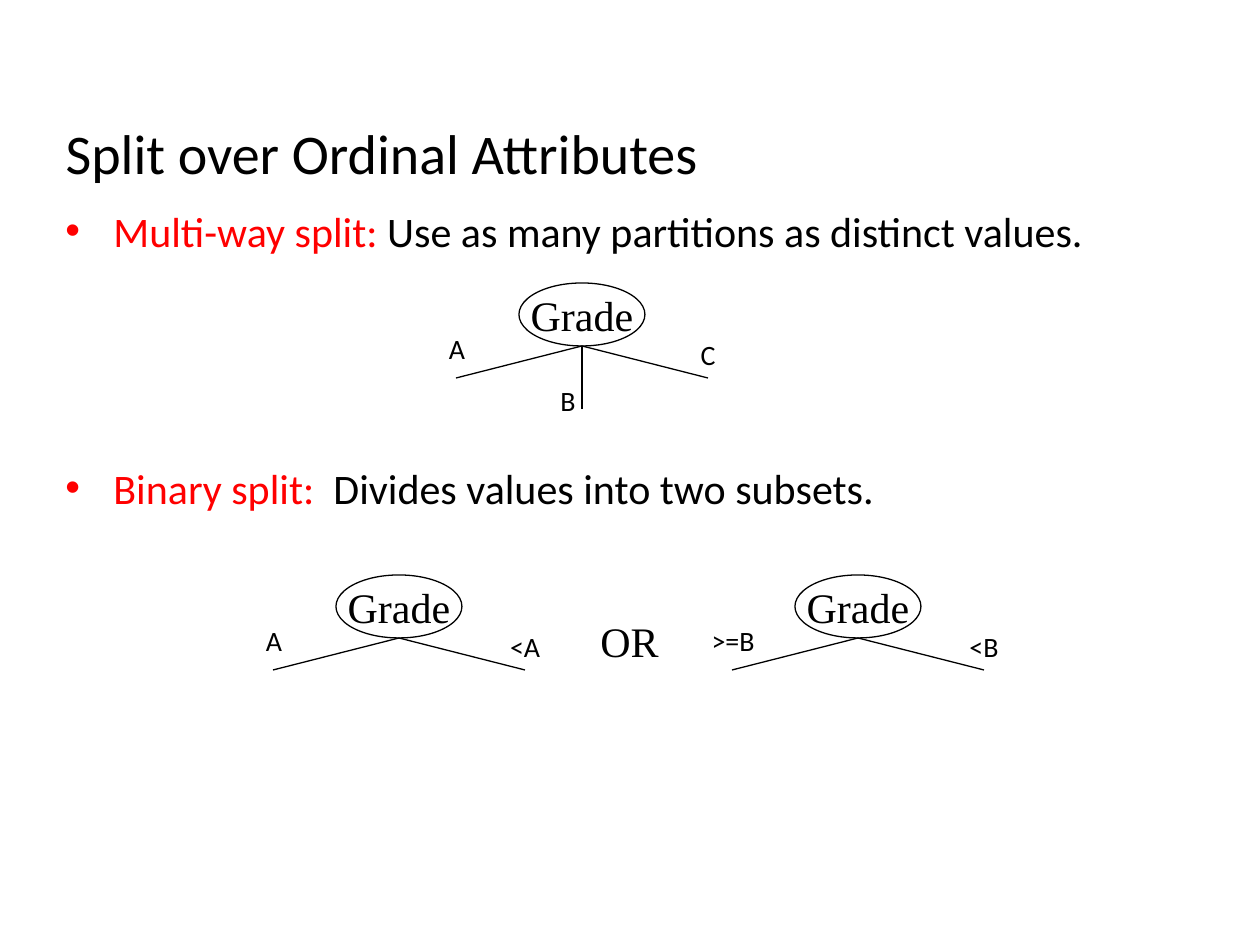
from dataclasses import dataclass

import pptx
import pptx.dml.color
import pptx.enum.shapes
import pptx.enum.text
import pptx.oxml
import pptx.oxml.ns
import pptx.util

EMU_PER_PX = 914400 / 126
COLORS = {"ink": "000000", "accent": "FF0000", "paper": "FFFFFF"}
SANS, SERIF = "Calibri", "Times New Roman"
ALIGN = pptx.enum.text.PP_ALIGN
MIDDLE = pptx.enum.text.MSO_ANCHOR.MIDDLE
AUTO_SIZE = pptx.enum.text.MSO_AUTO_SIZE

NODE_WIDTH, NODE_HEIGHT = 126, 63
LABEL_HEIGHT = 47


@dataclass(frozen=True)
class Slot:
    """Branch end and label centre, measured from the foot of the node."""
    end: tuple[int, int]
    label: tuple[int, int]


@dataclass(frozen=True)
class Tree:
    foot: tuple[int, int]
    branches: dict[str, str]


@dataclass(frozen=True)
class Bullet:
    term: str
    meaning: str
    space_before: int


SLOTS = {
    "left": Slot((-126, 32), (-125, 2)),
    "middle": Slot((0, 63), (-14, 54)),
    "right": Slot((126, 32), (126, 8)),
}
TREES = [
    Tree((582, 346), {"left": "A", "middle": "B", "right": "C"}),
    Tree((399, 638), {"left": "A", "right": "<A"}),
    Tree((858, 638), {"left": ">=B", "right": "<B"}),
]
BULLETS = [
    Bullet("Multi-way split:", " Use as many partitions as distinct values.", 0),
    Bullet("Binary split:", "  Divides values into two subsets.", 118),
]


def px(length: float) -> int:
    return round(length * EMU_PER_PX)


def rgb(name: str) -> pptx.dml.color.RGBColor:
    return pptx.dml.color.RGBColor.from_string(COLORS[name])


def style(span, size: int, family: str, color: str = "ink") -> None:
    span.font.size = pptx.util.Pt(size)
    span.font.name = family
    span.font.color.rgb = rgb(color)


def outline(shape) -> None:
    shape.line.color.rgb = rgb("ink")
    shape.line.width = pptx.util.Pt(0.75)


def write_line(box, text: str, size: int, family: str,
               align=ALIGN.CENTER, wrap: bool = False) -> None:
    frame = box.text_frame
    frame.text = text
    frame.word_wrap = wrap
    frame.auto_size = AUTO_SIZE.NONE
    frame.vertical_anchor = MIDDLE
    frame.paragraphs[0].alignment = align
    style(frame.paragraphs[0].runs[0], size, family)


def add_label(shapes, text: str, left: float, top: float, width: int,
              height: int, size: int, family: str) -> None:
    box = shapes.add_textbox(px(left), px(top), px(width), px(height))
    write_line(box, text, size, family)


def add_branch(shapes, start: tuple[int, int], end: tuple[int, int]) -> None:
    branch = shapes.add_connector(
        pptx.enum.shapes.MSO_CONNECTOR.STRAIGHT, *map(px, start + end))
    outline(branch)
    branch._element.spPr.append(pptx.oxml.parse_xml(
        f"<a:effectLst {pptx.oxml.ns.nsdecls('a')}/>"))


def add_tree(page, tree: Tree) -> None:
    shapes = page.shapes.add_group_shape().shapes
    x, y = tree.foot
    node = shapes.add_shape(
        pptx.enum.shapes.MSO_SHAPE.OVAL, px(x - NODE_WIDTH / 2),
        px(y - NODE_HEIGHT), px(NODE_WIDTH), px(NODE_HEIGHT))
    node.shadow.inherit = False
    node.fill.solid()
    node.fill.fore_color.rgb = rgb("paper")
    outline(node)
    write_line(node, "Grade", 24, SERIF)

    for side, text in tree.branches.items():
        slot = SLOTS[side]
        add_branch(shapes, tree.foot, (x + slot.end[0], y + slot.end[1]))
        width = 28 + 14 * len(text)
        add_label(shapes, text, x + slot.label[0] - width / 2,
                  y + slot.label[1] - LABEL_HEIGHT / 2,
                  width, LABEL_HEIGHT, 16, SANS)


def add_bullet(para, bullet: Bullet) -> None:
    properties = para._p.get_or_add_pPr()
    properties.set("marL", str(px(48)))
    properties.set("indent", str(px(-48)))
    for xml in ('<a:buFont {} typeface="Arial"/>', '<a:buChar {} char="•"/>'):
        properties.append(pptx.oxml.parse_xml(
            xml.format(pptx.oxml.ns.nsdecls("a"))))
    para.space_before = pptx.util.Pt(bullet.space_before)
    for text, color in ((bullet.term, "accent"), (bullet.meaning, "ink")):
        span = para.add_run()
        span.text = text
        style(span, 24, SANS, color)


def main() -> None:
    deck = pptx.Presentation()
    deck.slide_width, deck.slide_height = px(1260), px(945)
    page = deck.slides.add_slide(deck.slide_layouts[5])

    # Title
    title = page.shapes.title
    title.left, title.top = px(53), px(116)
    title.width, title.height = px(1187), px(73)
    write_line(title, "Split over Ordinal Attributes", 32, SANS,
               ALIGN.LEFT, wrap=True)

    # Definitions
    body = page.shapes.add_textbox(px(53), px(199), px(1155), px(725))
    frame = body.text_frame
    frame.word_wrap = True
    for index, bullet in enumerate(BULLETS):
        para = frame.add_paragraph() if index else frame.paragraphs[0]
        add_bullet(para, bullet)

    # Example trees
    for tree in TREES:
        add_tree(page, tree)
    add_label(page.shapes, "OR", 588, 609, 83, 63, 24, SERIF)

    deck.save("out.pptx")


if __name__ == "__main__":
    main()
